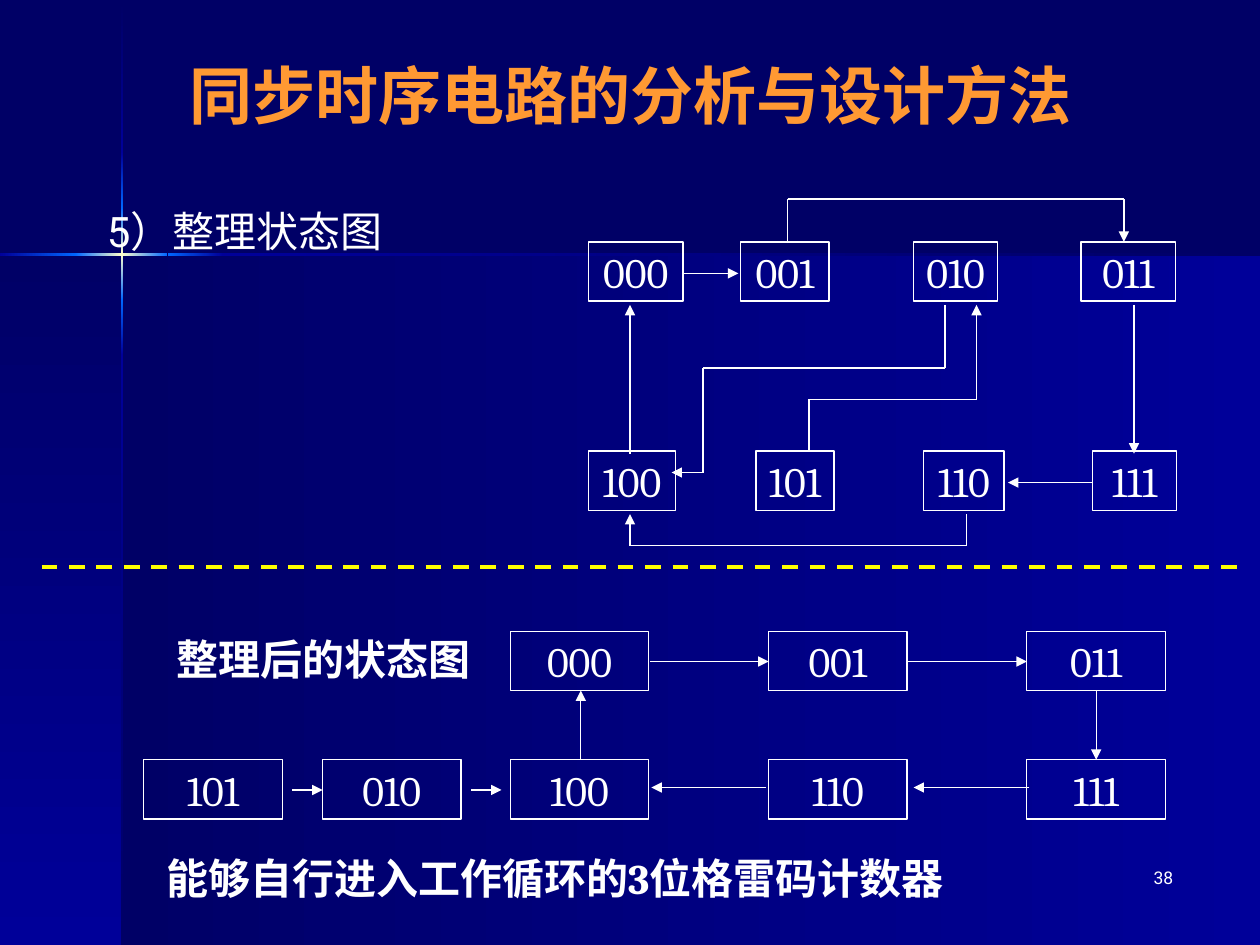
from copy import deepcopy
from itertools import pairwise

from lxml import etree
from pptx import Presentation
from pptx import util as u
from pptx.dml.color import RGBColor
from pptx.enum import dml, shapes, text
from pptx.oxml.ns import qn

COLORS = {
    "navy": "000066", "blue": "000099", "bright": "0066FF", "glow": "FFFFCC",
    "white": "FFFFFF", "orange": "FF9933", "yellow": "FFFF00",
}


def color(name):
    return RGBColor.from_string(COLORS[name])


def write(shape, words, size=24, font="Cambria", fill="white", bold=False,
          align=text.PP_ALIGN.LEFT, anchor=text.MSO_ANCHOR.TOP, wrap=True):
    frame = shape.text_frame
    frame.word_wrap = wrap
    frame.vertical_anchor = anchor
    paragraph = frame.paragraphs[0]
    paragraph.text = words
    paragraph.alignment = align
    paragraph.font.size = u.Pt(size)
    paragraph.font.name = font
    paragraph.font.bold = bold
    paragraph.font.color.rgb = color(fill)


presentation = Presentation()
presentation.slide_width, presentation.slide_height = u.Inches(10), u.Inches(7.5)
slide = presentation.slides.add_slide(presentation.slide_layouts[5])
slide.background.fill.solid()
slide.background.fill.fore_color.rgb = color("navy")

# Backdrop: two panels and a cross of light (left, top, width, height, angle, stops)
backdrop = [
    (0.97, 2.02, 9.03, 5.48, 0, ["navy", "blue"]),
    (0, 2.02, 0.97, 5.48, 270, ["navy", "blue"]),
    (0.96, 0.01, 0.02, 1.21, 270, ["navy", "blue"]),
    (0.96, 2.82, 0.02, 4.68, 270, ["blue", "navy"]),
    (1.77, 2.01, 8.23, 0.02, 0, ["blue", "navy"]),
    (0.96, 2.38, 0.02, 0.44, 270, ["bright", "blue"]),
    (0.96, 1.21, 0.02, 0.44, 270, ["blue", "bright"]),
    (0.96, 1.65, 0.02, 0.73, 270, ["bright", "glow", "bright"]),
    (0, 2.01, 0.61, 0.02, 0, ["blue", "bright"]),
    (1.33, 2.01, 0.44, 0.02, 0, ["bright", "blue"]),
    (0.6, 2.01, 0.73, 0.02, 0, ["bright", "glow", "bright"]),
]
for *place, angle, stops in backdrop:
    panel = slide.shapes.add_shape(shapes.MSO_SHAPE.RECTANGLE, *map(u.Inches, place))
    panel.shadow.inherit = False
    panel.line.fill.background()
    panel.fill.gradient()
    panel.fill.gradient_angle = angle
    stop_list = panel.element.spPr.find(".//" + qn("a:gsLst"))
    if len(stops) == 3:
        stop_list.insert(1, deepcopy(stop_list[0]))
    for index, (stop, name) in enumerate(zip(panel.fill.gradient_stops, stops)):
        stop.position = index / (len(stops) - 1)
        stop.color.rgb = color(name)

# Title, brought in front of the backdrop
title = slide.shapes.title
title.left, title.top = u.Inches(0.17), u.Inches(0.33)
title.width, title.height = u.Inches(9.67), u.Inches(0.83)
write(title, "同步时序电路的分析与设计方法", size=36, font="Roboto", fill="orange",
      bold=True, align=text.PP_ALIGN.CENTER, anchor=text.MSO_ANCHOR.MIDDLE)
slide.shapes._spTree.append(title.element)

# Captions and page number
captions = [
    ((0.75, 1.58, 3.5, 0.5), "5）整理状态图", {"font": "Roboto"}),
    ((1.3, 4.98, 2.68, 0.5), "整理后的状态图", {"bold": True}),
    ((1.22, 6.72, 7.01, 0.5), "能够自行进入工作循环的3位格雷码计数器", {"bold": True}),
    ((7.33, 6.83, 2.08, 0.5), "38",
     {"size": 10, "font": "Roboto", "align": text.PP_ALIGN.RIGHT}),
]
for place, words, style in captions:
    write(slide.shapes.add_textbox(*map(u.Inches, place)), words, **style)

# States: first diagram above, tidied diagram below (label, left, width)
state_rows = {
    1.92: [("000", 4.67, 0.75), ("001", 5.88, 0.7), ("010", 7.25, 0.67), ("011", 8.58, 0.75)],
    3.58: [("100", 4.67, 0.69), ("101", 6, 0.62), ("110", 7.33, 0.64), ("111", 8.67, 0.67)],
    5.01: [("000", 4.05, 1.1), ("001", 6.1, 1.1), ("011", 8.15, 1.1)],
    6.03: [("101", 1.14, 1.1), ("010", 2.56, 1.1), ("100", 4.05, 1.1),
           ("110", 6.1, 1.1), ("111", 8.15, 1.1)],
}
for top, states in state_rows.items():
    for label, left, width in states:
        state = slide.shapes.add_shape(shapes.MSO_SHAPE.RECTANGLE, u.Inches(left),
                                       u.Inches(top), u.Inches(width), u.Inches(0.47))
        state.shadow.inherit = False
        state.fill.background()
        state.line.color.rgb = color("white")
        state.line.width = u.Pt(0.75)
        write(state, label, align=text.PP_ALIGN.CENTER,
              anchor=text.MSO_ANCHOR.MIDDLE, wrap=False)

# Transitions, each a route of points that ends in an arrowhead
routes = [
    # First diagram
    [(5, 3.6), (5, 2.42)],
    [(5.42, 2.17), (5.86, 2.17)],
    [(7.5, 2.42), (7.5, 2.92), (5.58, 2.92), (5.58, 3.75), (5.33, 3.75)],
    [(8.67, 3.83), (8, 3.83)],
    [(6.42, 3.58), (6.42, 3.17), (7.75, 3.17), (7.75, 2.42)],
    [(6.25, 1.93), (6.25, 1.58), (8.92, 1.58), (8.92, 1.92)],
    [(9, 2.42), (9, 3.6)],
    [(7.67, 4.08), (7.67, 4.33), (5, 4.33), (5, 4.08)],
    # Tidied diagram
    [(4.61, 6.03), (4.61, 5.48)],
    [(5.16, 5.25), (6.1, 5.25)],
    [(7.2, 5.25), (8.15, 5.25)],
    [(8.7, 5.48), (8.7, 6.03)],
    [(8.17, 6.25), (7.25, 6.25)],
    [(6.08, 6.25), (5.17, 6.25)],
    [(2.32, 6.27), (2.56, 6.27)],
    [(3.74, 6.27), (3.98, 6.27)],
]
divider = [(0.33, 4.5), (9.83, 4.5)]
for route in routes + [divider]:
    for start, end in pairwise(route):
        line = slide.shapes.add_connector(shapes.MSO_CONNECTOR.STRAIGHT,
                                          *map(u.Inches, start + end))
        line.line.color.rgb = color("yellow" if route is divider else "white")
        line.line.width = u.Pt(2.25 if route is divider else 0.75)
        if route is divider:
            line.line.dash_style = dml.MSO_LINE.DASH
        elif end == route[-1]:
            etree.SubElement(line.line._get_or_add_ln(), qn("a:tailEnd"), type="triangle")
        etree.SubElement(line.element.spPr, qn("a:effectLst"))

presentation.save("out.pptx")
